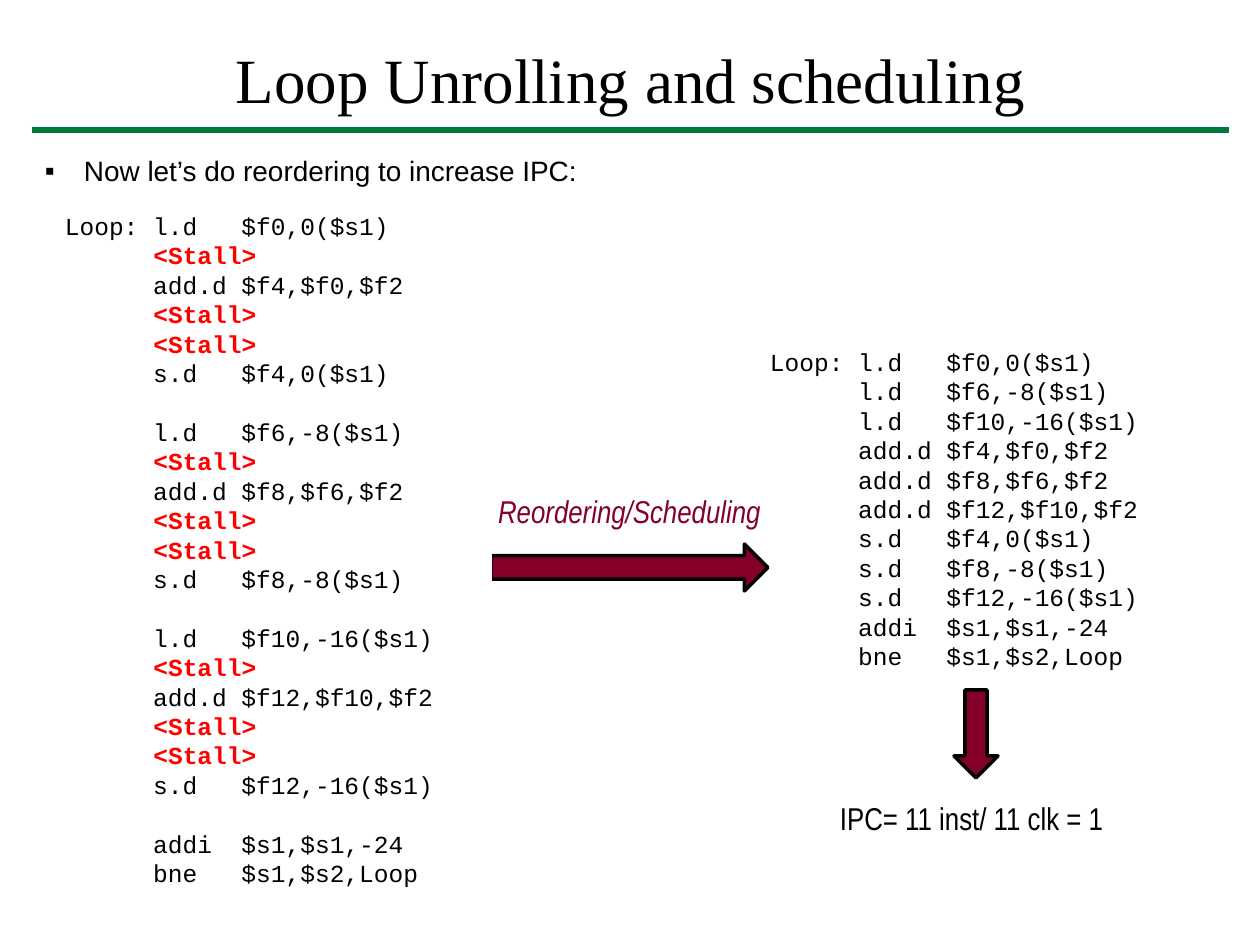
from dataclasses import dataclass

from lxml.etree import SubElement
from pptx import Presentation
from pptx.dml.color import RGBColor as Color
from pptx.enum.shapes import MSO_CONNECTOR as Connector, MSO_SHAPE as Shape
from pptx.enum.text import PP_ALIGN as Align
from pptx.oxml.ns import qn
from pptx.util import Emu, Pt

PX_PER_INCH = 126


@dataclass(frozen=True)
class Theme:
    black: Color = Color(0x00, 0x00, 0x00)
    white: Color = Color(0xFF, 0xFF, 0xFF)
    green: Color = Color(0x00, 0x7A, 0x3A)
    maroon: Color = Color(0x84, 0x00, 0x28)
    red: Color = Color(0xFF, 0x00, 0x00)
    title_size: int = 36
    body_size: int = 16
    label_size: int = 18
    code_size: int = 14
    code_line: float = 16.8
    title_font: str = "Times New Roman"
    body_font: str = "Arial"
    label_font: str = "Arial Narrow"
    code_font: str = "Courier New"


THEME = Theme()
STALL = "<Stall>"
INDENT = " " * 6

UNROLLED = [
    ["Loop: l.d   $f0,0($s1)", STALL, "      add.d $f4,$f0,$f2",
     STALL, STALL, "      s.d   $f4,0($s1)"],
    ["      l.d   $f6,-8($s1)", STALL, "      add.d $f8,$f6,$f2",
     STALL, STALL, "      s.d   $f8,-8($s1)"],
    ["      l.d   $f10,-16($s1)", STALL, "      add.d $f12,$f10,$f2",
     STALL, STALL, "      s.d   $f12,-16($s1)"],
    ["      addi  $s1,$s1,-24", "      bne   $s1,$s2,Loop"],
]

SCHEDULED = [
    ["Loop: l.d   $f0,0($s1)", "      l.d   $f6,-8($s1)",
     "      l.d   $f10,-16($s1)", "      add.d $f4,$f0,$f2",
     "      add.d $f8,$f6,$f2", "      add.d $f12,$f10,$f2",
     "      s.d   $f4,0($s1)", "      s.d   $f8,-8($s1)",
     "      s.d   $f12,-16($s1)", "      addi  $s1,$s1,-24",
     "      bne   $s1,$s2,Loop"],
]


def px(length):
    return Emu(round(length * 914400 / PX_PER_INCH))


def set_font(para, name, size, color):
    para.font.name = name
    para.font.size = Pt(size)
    para.font.color.rgb = color


def add_box(page, left, top, width, height, side=13):
    box = page.shapes.add_textbox(px(left), px(top), px(width), px(height))
    frame = box.text_frame
    frame.word_wrap = True
    frame.margin_left = frame.margin_right = px(side)
    frame.margin_top, frame.margin_bottom = px(9), px(0)
    return box


def add_text(page, text, area, font, size, color=THEME.black, align=Align.LEFT, side=13):
    para = add_box(page, *area, side=side).text_frame.paragraphs[0]
    para.text = text
    para.alignment = align
    set_font(para, font, size, color)
    return para


def add_bullet(page, text, area):
    para = add_box(page, *area).text_frame.paragraphs[0]
    para.text = text
    props = para._p.get_or_add_pPr()
    props.set("marL", str(px(39)))
    props.set("indent", str(-px(39)))
    SubElement(props, qn("a:buFont"), typeface=THEME.body_font)
    SubElement(props, qn("a:buChar"), char="▪")
    set_font(para, THEME.body_font, THEME.body_size, THEME.black)


def add_code(page, groups, area):
    box = add_box(page, *area)
    frame = box.text_frame
    lines = [(line, place == 0) for group in groups for place, line in enumerate(group)]
    for number, (line, starts_group) in enumerate(lines):
        para = frame.add_paragraph() if number else frame.paragraphs[0]
        para.line_spacing = Pt(THEME.code_line)
        if number and starts_group:
            para.space_before = Pt(THEME.code_line)
        set_font(para, THEME.code_font, THEME.code_size, THEME.black)
        if line == STALL:
            para.add_run().text = INDENT
        span = para.add_run()
        span.text = line
        if line == STALL:
            span.font.bold = True
            span.font.color.rgb = THEME.red
    return box


def add_arrow(page, left, top, width, height, rotation=0):
    arrow = page.shapes.add_shape(
        Shape.RIGHT_ARROW, px(left), px(top), px(width), px(height))
    arrow.shadow.inherit = False
    arrow.rotation = rotation
    arrow.fill.solid()
    arrow.fill.fore_color.rgb = THEME.maroon
    arrow.line.color.rgb = THEME.black
    arrow.line.width = Pt(2)


def add_rule(page, left, right, y):
    rule = page.shapes.add_connector(
        Connector.STRAIGHT, px(left), px(y), px(right), px(y))
    rule.line.color.rgb = THEME.green
    rule.line.width = Pt(3)
    SubElement(rule._element.spPr, qn("a:effectLst"))


def main():
    deck = Presentation()
    deck.slide_width, deck.slide_height = px(1260), px(945)
    page = deck.slides.add_slide(deck.slide_layouts[6])

    add_text(page, "Loop Unrolling and scheduling", (32, 32, 1197, 78),
             THEME.title_font, THEME.title_size, align=Align.CENTER, side=0)
    add_rule(page, 32, 1229, 130)
    add_bullet(page, "Now let’s do reordering to increase IPC:", (32, 145, 1176, 47))

    add_arrow(page, 491, 544, 277, 47)
    label = add_text(page, "Reordering/Scheduling", (462, 483, 335, 50),
                     THEME.label_font, THEME.label_size, THEME.maroon, Align.CENTER)
    label.font.italic = True

    unrolled = add_code(page, UNROLLED, (52, 202, 440, 696))
    unrolled.fill.solid()
    unrolled.fill.fore_color.rgb = THEME.white
    add_code(page, SCHEDULED, (757, 338, 440, 339))

    add_arrow(page, 932, 712, 88, 44, rotation=90)
    add_text(page, "IPC= 11 inst/ 11 clk = 1", (827, 790, 300, 50),
             THEME.label_font, THEME.label_size)

    deck.save("out.pptx")


if __name__ == "__main__":
    main()
